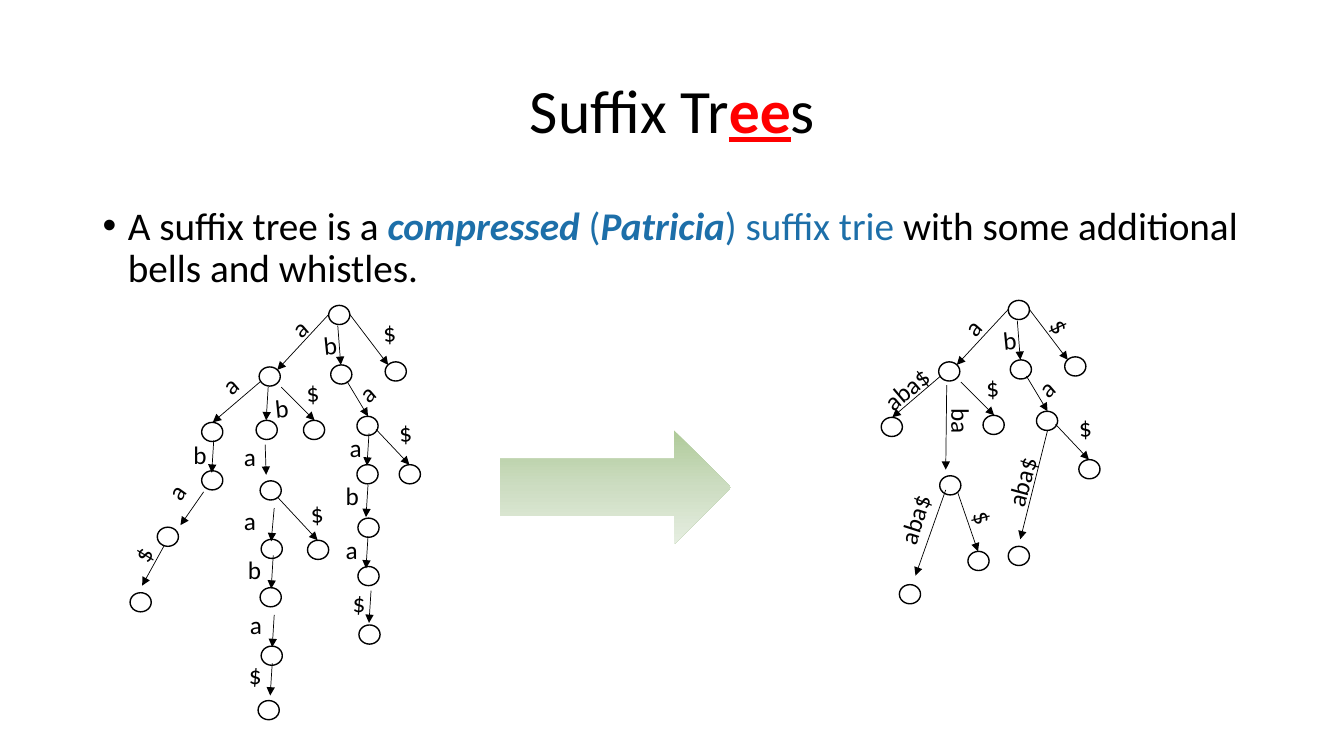
from lxml import etree
from pptx import Presentation
from pptx.dml.color import RGBColor
from pptx.enum.shapes import MSO_CONNECTOR, MSO_SHAPE
from pptx.enum.text import MSO_ANCHOR, MSO_AUTO_SIZE, PP_ALIGN
from pptx.oxml.ns import qn
from pptx.util import Inches, Pt

LINE = MSO_CONNECTOR.STRAIGHT
OVAL = MSO_SHAPE.OVAL
ARROW = MSO_SHAPE.RIGHT_ARROW
MIDDLE = MSO_ANCHOR.MIDDLE
TOP = MSO_ANCHOR.TOP
GROW = MSO_AUTO_SIZE.SHAPE_TO_FIT_TEXT
FIXED = MSO_AUTO_SIZE.NONE
LEFT = PP_ALIGN.LEFT
CENTER = PP_ALIGN.CENTER

COLS, ROWS = 133.3, 75
BLACK, RED, BLUE = "000000", "FF0000", "1D6FA9"
SHIFT = (67.4, -0.5)

CROWN = {
    "nodes": [(32.6, 30.3), (38.2, 35.9), (32.8, 36.2), (25.7, 36.4),
              (35.4, 41.3), (39.6, 46.1), (30.1, 41.7), (20, 41.9)],
    "edges": [(32.6, 31.2, 27.5, 36.7), (34.7, 31.2, 38.5, 36.2),
              (33.5, 32.3, 33.8, 36.2), (34.4, 37.8, 36.5, 41.3),
              (37.3, 42.6, 40.6, 46.1), (25.9, 37.8, 21.1, 41.9),
              (27.9, 38.4, 31.2, 41.7)],
    "marks": [("b", 31.1, 32.2, 354.2), ("a", 34.7, 36.7, 319.5),
              ("$", 29.4, 36.9, 355.1), ("$", 38.6, 40.8, 355.1)],
}
TRIE = {
    "nodes": [(35.4, 46.1), (35.5, 51.4), (35.5, 56.2), (35.6, 62),
              (25.4, 41.7), (25.8, 47.7), (25.9, 53.5), (25.8, 58.3),
              (25.9, 64.1), (25.6, 69.5), (20, 46.7), (15.6, 52.3),
              (12.9, 58.8), (30.5, 53.6)],
    "edges": [(26.6, 38.4, 26.4, 41.7), (36.6, 43, 36.4, 46.2),
              (36.5, 48.1, 36.3, 51.3), (36.5, 53.2, 36.3, 56.4),
              (36.8, 58.6, 36.6, 61.8), (26.3, 44.1, 26.4, 47.1),
              (27.2, 50.4, 26.9, 53.7), (27.1, 55.1, 26.9, 58.4),
              (27.2, 61, 27, 64.2), (27, 65.8, 26.8, 69),
              (21.2, 43.7, 21, 46.9), (20.2, 48.8, 17.9, 52.1),
              (16.3, 54.1, 14.1, 58.1), (27.6, 49.4, 31.5, 53.6)],
    "marks": [("a", 23.2, 49.6, 0), ("a", 28, 30.3, 319.5),
              ("a", 21.1, 35.9, 319.5), ("a", 15.7, 46.4, 305.8),
              ("b", 26.3, 38.4, 354.2), ("a", 23.2, 43.3, 0),
              ("a", 23.8, 60, 0), ("$", 23.7, 64.9, 0),
              ("$", 29.8, 48.9, 355.1), ("b", 23.6, 54.5, 0),
              ("$", 37, 30.9, 355.1), ("a", 33.7, 42.4, 0),
              ("b", 33.3, 47.2, 0), ("a", 33.3, 52.5, 0),
              ("$", 34, 57.8, 0), ("$", 12.3, 52.6, 296.7),
              ("b", 18.2, 43.1, 0)],
}
TREE = {
    "nodes": [(93.2, 47.2), (89.2, 58), (96, 54.7), (100, 54.2)],
    "edges": [(93.9, 38.2, 93.8, 46.6), (93.8, 48.6, 90.8, 57.1),
              (95, 48.9, 97, 54.7), (103.9, 42.7, 101.2, 53.5)],
    "marks": [("aba$", 86.9, 49.1, 287.8, 7.8), ("aba$", 86.4, 36.5, 319.5, 7.1),
              ("ba", 92.8, 40.1, 90, 5.1), ("$", 95.7, 49.7, 72.1),
              ("a", 94.7, 30.2, 311.8), ("aba$", 97.5, 45.4, 285.2, 7.8),
              ("$", 103.4, 30.7, 60.9)],
}


def paint(code):
    return RGBColor.from_string(code)


def write(para, text, size=18, color=BLACK, bold=False, slant=False, under=False):
    run = para.add_run()
    run.text = text
    font = run.font
    font.name = "Calibri"
    font.size = Pt(size)
    font.color.rgb = paint(color)
    font.bold, font.italic, font.underline = bold, slant, under


class Board:
    def __init__(self, deck):
        self.cell = deck.slide_width / COLS
        self.row = deck.slide_height / ROWS
        self.shapes = deck.slides.add_slide(deck.slide_layouts[6]).shapes

    def grid(self, *spans):
        return [round(span * (self.row if i % 2 else self.cell))
                for i, span in enumerate(spans)]

    def text(self, place, runs, align=LEFT, anchor=TOP, fit=FIXED, space=1, turn=0):
        box = self.shapes.add_textbox(*self.grid(*place))
        box.rotation = turn
        frame = box.text_frame
        frame.word_wrap = True
        frame.auto_size = fit
        frame.vertical_anchor = anchor
        para = frame.paragraphs[0]
        para.alignment = align
        para.line_spacing = space
        for words, look in runs:
            write(para, words, **look)
        return para

    def bullet(self, para):
        props = para._p.get_or_add_pPr()
        props.set("marL", str(Inches(0.25)))
        props.set("indent", str(-Inches(0.25)))
        etree.SubElement(props, qn("a:buFont")).set("typeface", "Arial")
        etree.SubElement(props, qn("a:buChar")).set("char", "•")

    def node(self, x, y):
        ring = self.shapes.add_shape(OVAL, *self.grid(x, y, 2.1, 1.9))
        ring.shadow.inherit = False
        ring.fill.background()
        ring.line.color.rgb = paint(BLACK)
        ring.line.width = Pt(1)

    def edge(self, *ends):
        link = self.shapes.add_connector(LINE, *self.grid(*ends))
        link.line.color.rgb = paint(BLACK)
        link.line.width = Pt(0.5)
        tip = etree.SubElement(link.line._get_or_add_ln(), qn("a:tailEnd"))
        tip.set("type", "triangle")
        etree.SubElement(link._element.spPr, qn("a:effectLst"))

    def mark(self, text, x, y, turn, width=4):
        self.text((x, y, width, 4), [(text, {})], fit=GROW, turn=turn)

    def graph(self, parts, dx=0, dy=0):
        for x, y in parts["nodes"]:
            self.node(x + dx, y + dy)
        for x, y, right, low in parts["edges"]:
            self.edge(x + dx, y + dy, right + dx, low + dy)
        for text, x, y, *rest in parts["marks"]:
            self.mark(text, x + dx, y + dy, *rest)

    def arrow(self, place, stops):
        block = self.shapes.add_shape(ARROW, *self.grid(*place))
        block.shadow.inherit = False
        block.line.fill.background()
        block.fill.gradient()
        grad = block._element.spPr.find(qn("a:gradFill"))
        tones = grad.find(qn("a:gsLst"))
        for old in list(tones):
            tones.remove(old)
        for share, code in stops:
            stop = etree.SubElement(tones, qn("a:gs"), pos=str(share * 1000))
            etree.SubElement(stop, qn("a:srgbClr"), val=code)
        grad.find(qn("a:lin")).set("ang", str(90 * 60000))


def main():
    deck = Presentation()
    deck.slide_width = Inches(13.33)
    deck.slide_height = Inches(7.5)
    board = Board(deck)

    board.text((9.2, 4, 115, 14.5), [
        ("Suffix Tr", {"size": 44}),
        ("ee", {"size": 44, "color": RED, "bold": True, "under": True}),
        ("s", {"size": 44}),
    ], align=CENTER, anchor=MIDDLE, space=0.9)

    plain = {"size": 28}
    blue = {"size": 28, "color": BLUE}
    strong = {**blue, "bold": True, "slant": True}
    para = board.text((9.2, 20, 115, 47.6), [
        ("A suffix tree is a ", plain),
        ("compressed ", strong),
        ("(", blue),
        ("Patricia", strong),
        (") suffix trie ", blue),
        ("with some additional bells and whistles.", plain),
    ], space=0.9)
    board.bullet(para)

    board.graph(CROWN)
    board.graph(TRIE)
    board.arrow((49.6, 42.7, 22.9, 11.3),
                [(0, "AFCA99"), (50, "CDDDC2"), (100, "E6EEE1")])
    board.graph(CROWN, *SHIFT)
    board.graph(TREE)
    deck.save("out.pptx")


if __name__ == "__main__":
    main()
